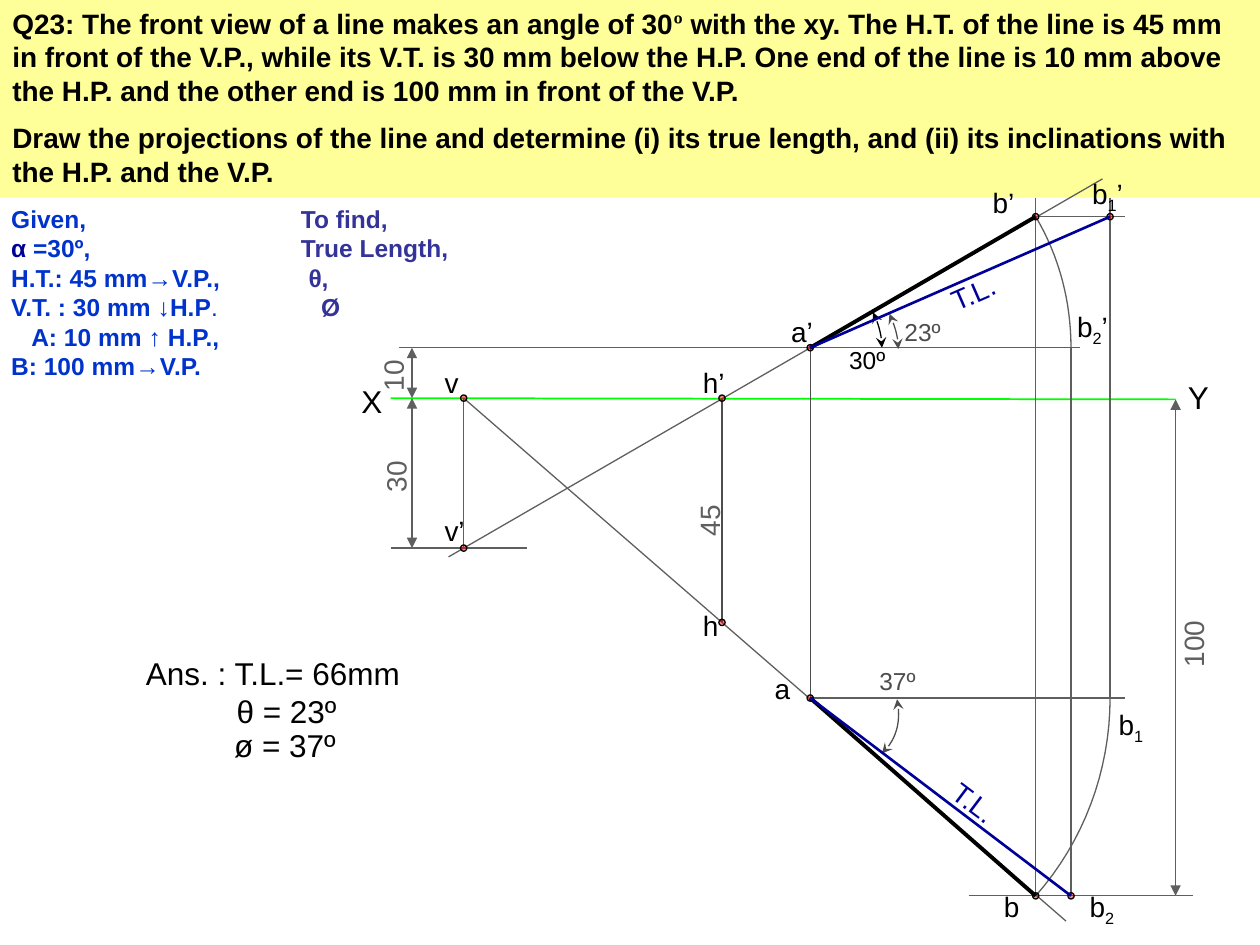
from lxml import etree
from pptx import Presentation, util as u
from pptx.dml.color import RGBColor
from pptx.enum import shapes as sh, text as tx
from pptx.oxml.ns import qn

COLS, ROWS = 1000, 750
WIDE, HIGH = u.Inches(10), u.Inches(7.5)
HEX = {"band": "FFFF99", "ink": "000000", "axis": "00FF00", "gray": "5F5F5F",
       "dark": "4D4D4D", "navy": "000099", "blue": "0033CC", "plum": "333399",
       "dot": "FF0000"}
SPOT = {"v": (368, 316), "v’": (368, 435), "h’": (573, 316), "h": (573, 494),
        "a’": (643, 276), "a": (643, 554), "b’": (822, 172), "b": (822, 711),
        "b1’": (881, 172), "b2": (850, 711)}


def col(n):
    """Turn grid columns into a length."""
    return int(WIDE * n / COLS)


def row(n):
    """Turn grid rows into a length."""
    return int(HIGH * n / ROWS)


def rgb(name):
    """Look up a colour by name."""
    return RGBColor.from_string(HEX[name])


def pen(item, hue, size, tip=None):
    """Style an outline, with tips at both ends if asked."""
    item.line.color.rgb = rgb(hue)
    item.line.width = u.Pt(size)
    if tip:
        for end in ("a:headEnd", "a:tailEnd"):
            etree.SubElement(item.line._get_or_add_ln(), qn(end), type=tip)


def line(page, start, stop, hue="gray", size=0.75, tip=None):
    """Draw a straight line between two grid points."""
    item = page.shapes.add_connector(
        sh.MSO_CONNECTOR.STRAIGHT, col(start[0]), row(start[1]),
        col(stop[0]), row(stop[1]))
    pen(item, hue, size, tip)
    etree.SubElement(item._element.spPr, qn("a:effectLst"))


def bend(ends, steps=16):
    """List the points along a cubic curve."""
    def mix(t, axis):
        p, q, r, s = (e[axis] for e in ends)
        w = 1 - t
        return w**3 * p + 3 * w * w * t * q + 3 * w * t * t * r + t**3 * s
    return [(col(mix(i / steps, 0)), row(mix(i / steps, 1)))
            for i in range(steps + 1)]


def arc(page, ends, hue="gray", tip=None):
    """Draw an open curve from four control points."""
    dots = bend(ends)
    path = page.shapes.build_freeform(*dots[0])
    path.add_line_segments(dots[1:], close=False)
    item = path.convert_to_shape()
    item.shadow.inherit = False
    item.fill.background()
    pen(item, hue, 0.75, tip)


def dot(page, x, y, rad=2.5):
    """Mark a point with a small see-through disc."""
    item = page.shapes.add_shape(sh.MSO_SHAPE.OVAL, col(x - rad), row(y - rad),
                                 col(2 * rad), row(2 * rad))
    item.shadow.inherit = False
    item.fill.solid()
    item.fill.fore_color.rgb = rgb("dot")
    tint = item._element.spPr.find(".//" + qn("a:srgbClr"))
    etree.SubElement(tint, qn("a:alpha"), val="46000")
    pen(item, "ink", 0.75)


def run(para, word, size, hue, bold=False, face="Arial", base=0):
    """Add one styled run."""
    bit = para.add_run()
    bit.text = word
    font = bit.font
    font.size, font.bold, font.name = u.Pt(size), bold, face
    font.color.rgb = rgb(hue)
    if base:
        bit._r.get_or_add_rPr().set("baseline", str(base * 1000))


def fill(frame, paras, size, hue, bold=False, gap=0):
    """Fill a frame; a paragraph is an indent and its runs."""
    frame.word_wrap = True
    frame.vertical_anchor = tx.MSO_ANCHOR.TOP
    for i, (dent, bits) in enumerate(paras):
        para = frame.add_paragraph() if i else frame.paragraphs[0]
        para.alignment = tx.PP_ALIGN.LEFT
        if dent:
            para._p.get_or_add_pPr().set("marL", str(col(dent)))
        if i and gap:
            para.space_before = u.Pt(gap)
        for word, more in bits:
            run(para, word, **{"size": size, "hue": hue, "bold": bold, **more})


def note(page, box, paras, size=16, hue="ink", bold=False, turn=0):
    """Place a text box on the grid."""
    x, y, w, h = box
    item = page.shapes.add_textbox(col(x), row(y), col(w), row(h))
    item.rotation = turn
    fill(item.text_frame, paras, size, hue, bold)


def tag(page, x, y, word, w=46, h=37, **style):
    """Place a short label, with its digit lowered after a letter b."""
    bits = [(word, {})]
    if word[0] == "b" and len(word) > 1 and word[1].isdigit():
        bits = [("b", {}), (word[1], {"base": -25})]
        bits += [(word[2:], {})] if word[2:] else []
    note(page, (x, y, w, h), [(0, bits)], **style)


def ask(page):
    """Place the question band."""
    band = page.shapes.add_shape(sh.MSO_SHAPE.RECTANGLE, 0, 0, WIDE, row(157))
    band.shadow.inherit = False
    band.fill.solid()
    band.fill.fore_color.rgb = rgb("band")
    band.line.fill.background()
    fill(band.text_frame, [
        (0, [("Q23: The front view of a line makes an angle of 30", {}),
             ("º", {"face": "Times New Roman"}),
             (" with the xy. The H.T. of the line is 45 mm in front of the V.P., "
              "while its V.T. is 30 mm below the H.P. One end of the line is 10 mm "
              "above the H.P. and the other end is 100 mm in front of the V.P.", {})]),
        (0, [("Draw the projections of the line and determine (i) its true length, "
              "and (ii) its inclinations with the H.P. and the V.P.", {})]),
    ], 16, "ink", True, gap=8)


def facts(page):
    """Place the givens, the goals and the answers."""
    thin = {"bold": False}
    note(page, (-1, 157, 199, 150), [
        (0, [("Given,", {})]),
        (0, [("α ", {"hue": "navy"}), ("=30º,", {})]),
        (0, [("H.T.: 45 mm", {}), ("→", thin), ("V.P.,", {})]),
        (0, [("V.T. : 30 mm ", {}), ("↓", thin), ("H.P", {}), (".", thin)]),
        (16, [("A: 10 mm ", {}), ("↑", thin), (" H.P.,", {})]),
        (0, [("B: 100 mm", {}), ("→", thin), ("V.P.", {})]),
    ], 14, "blue", True)
    goals = [(0, "To find,"), (0, "True Length,"), (6, "θ,"), (16, "Ø")]
    note(page, (229, 157, 149, 103), [(d, [(t, {})]) for d, t in goals],
         14, "plum", True)
    for x, y, w, word in [(106, 514, 237, "Ans. : T.L.= 66mm"),
                          (178, 544, 127, "θ = 23º"), (176, 571, 116, "ø = 37º")]:
        tag(page, x, y, word, w, 40, size=18)


def rays(page):
    """Draw the axis, projectors, dimensions and arcs."""
    line(page, (310, 316), (933, 317), "axis", 1)
    for ends in [((317, 276), (857, 276)), ((356, 442), (875, 142)),
                 ((310, 435), (418, 435)), ((368, 316), (846, 731)),
                 ((769, 711), (947, 711)), ((822, 711), (822, 157)),
                 ((643, 554), (893, 554)), ((881, 554), (881, 157)),
                 ((822, 172), (893, 172)), ((850, 276), (850, 711)),
                 (SPOT["v’"], SPOT["v"])]:
        line(page, *ends)
    for top, low in [("h’", "h"), ("a’", "a")]:
        line(page, SPOT[top], SPOT[low], "dark")
    for x, top, low in [(327, 276, 316), (327, 316, 435), (933, 317, 711)]:
        line(page, (x, top), (x, low), tip="triangle")
    arc(page, [SPOT["b’"], (841, 204), (850, 240), (850, 276)])
    arc(page, [SPOT["b"], (860, 668), (881, 612), (881, 554)])
    arc(page, [(706, 249), (710, 258), (713, 267), (713, 277)], "dark", "stealth")
    arc(page, [(693, 248), (697, 256), (700, 266), (700, 276)], "ink", "stealth")
    arc(page, [(712, 555), (715, 570), (713, 586), (700, 598)], "dark", "stealth")


def views(page):
    """Draw the points, both views and the true lengths."""
    for spot in SPOT.values():
        dot(page, *spot)
    for start, stop, hue, size in [("a’", "b’", "ink", 2.25), ("a", "b", "ink", 2.25),
                                   ("a’", "b1’", "navy", 1.5), ("a", "b2", "navy", 1.5)]:
        line(page, SPOT[start], SPOT[stop], hue, size)


def names(page):
    """Label the points, sizes and angles."""
    for x, y, word in [(618, 245, "a’"), (548, 285, "h’"), (548, 478, "h"),
                       (343, 403, "v’"), (343, 285, "v"), (605, 528, "a"),
                       (778, 142, "b’"), (787, 701, "b"), (857, 135, "b1’"),
                       (878, 557, "b1"), (845, 241, "b2’"), (855, 701, "b2")]:
        tag(page, x, y, word)
    for x, y, word in [(281, 271, "10"), (283, 351, "30"), (532, 386, "45"),
                       (916, 490, "100")]:
        tag(page, x, y, word, 62, hue="gray", turn=270)
    for x, y, word, hue in [(708, 247, "23º", "dark"), (688, 524, "37º", "dark"),
                            (664, 269, "30º", "ink")]:
        tag(page, x, y, word, 55, 33, size=14, hue=hue)
    for y, turn in [(211, 336.4), (623, 37)]:
        tag(page, 744, y, "T.L.", 70, hue="navy", turn=turn)
    for x, y, word in [(277, 298, "X"), (933, 295, "Y")]:
        tag(page, x, y, word, 56, 40, size=18)


def main():
    """Build the slide and save it."""
    deck = Presentation()
    deck.slide_width, deck.slide_height = WIDE, HIGH
    page = deck.slides.add_slide(deck.slide_layouts[6])
    for part in (ask, facts, rays, views, names):
        part(page)
    deck.save("out.pptx")


if __name__ == "__main__":
    main()
